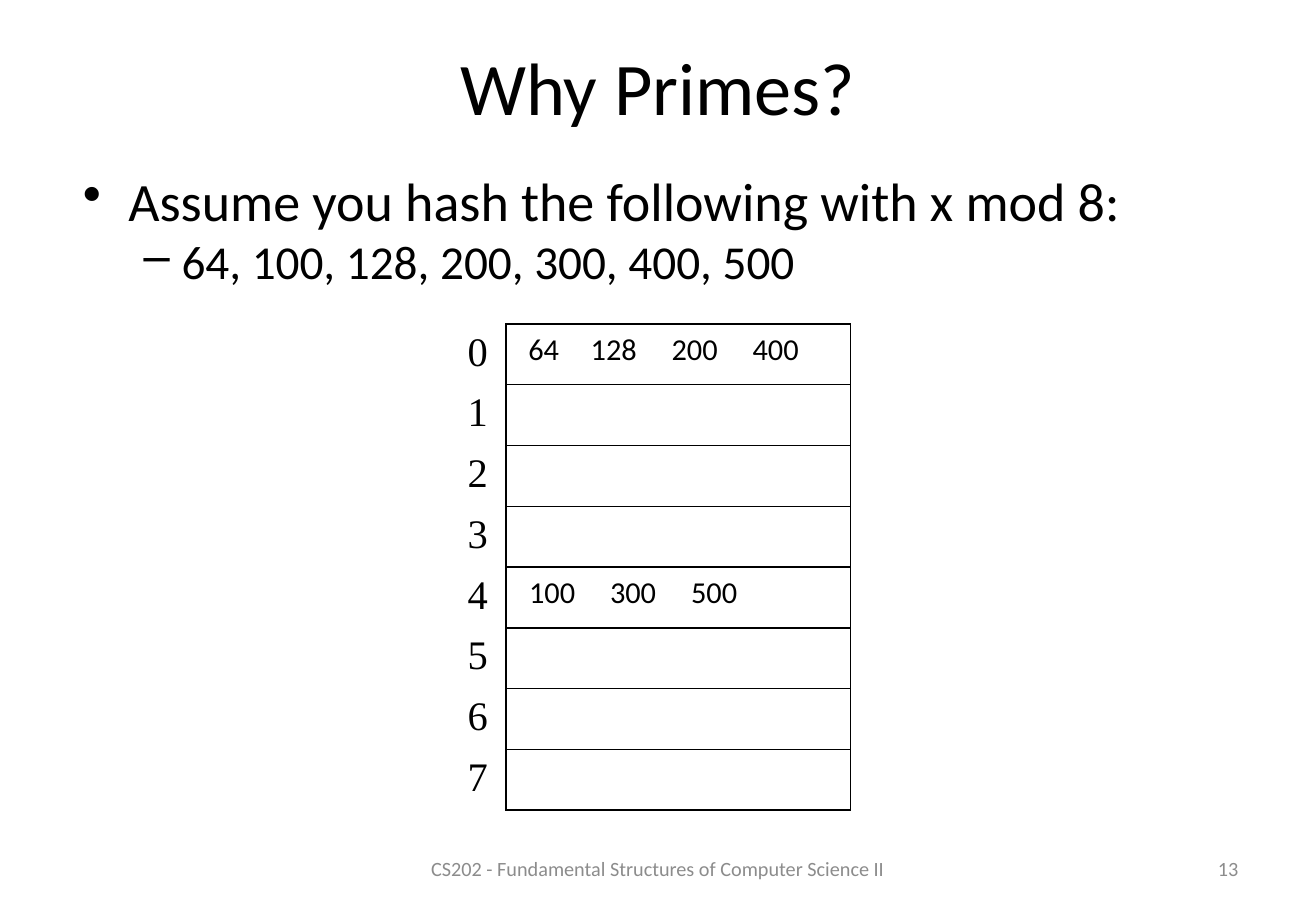
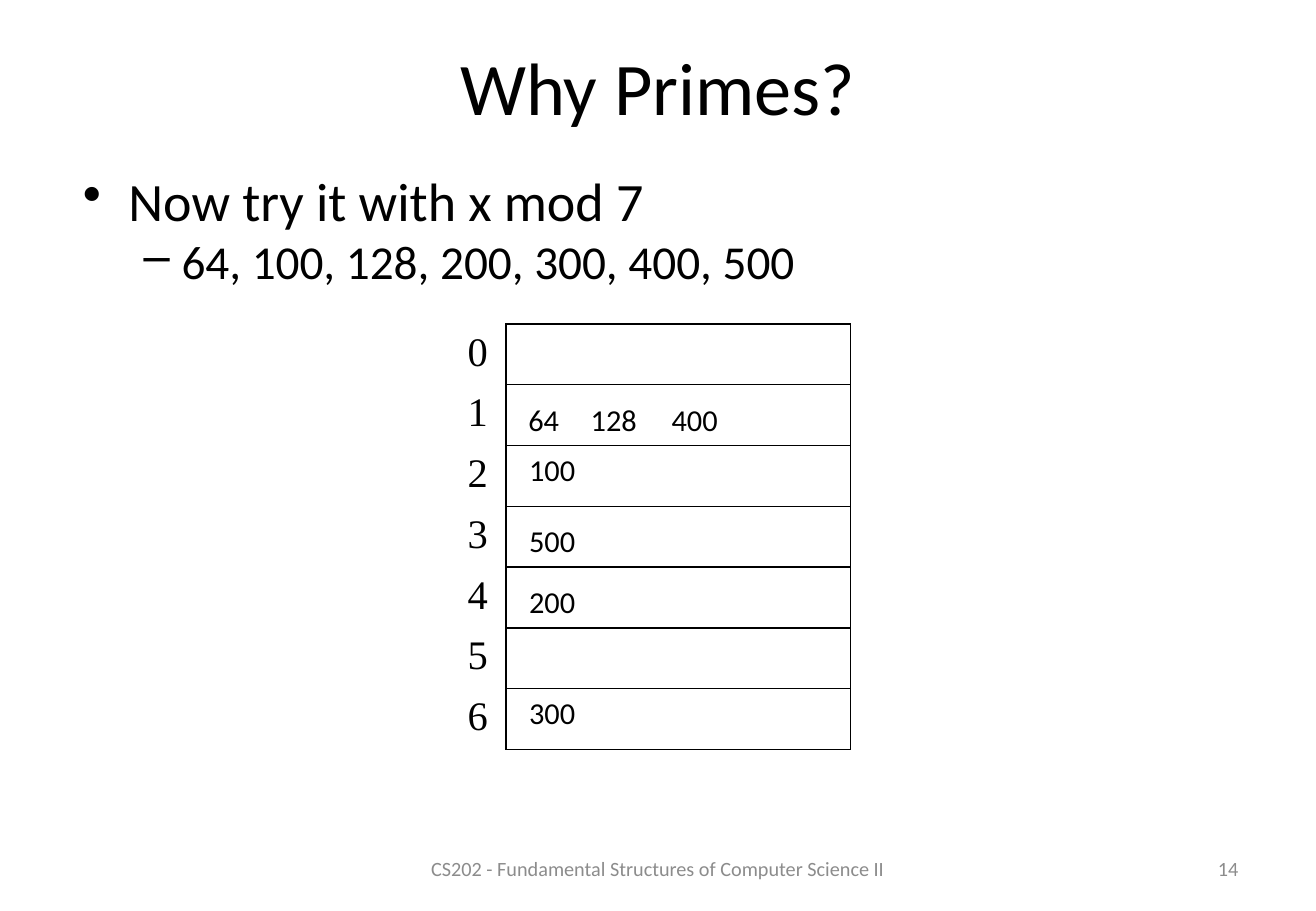
import pptx
import pptx.dml.color
import pptx.enum.text
import pptx.oxml.ns
import pptx.util
from lxml import etree

Pt = pptx.util.Pt
ALIGN = pptx.enum.text.PP_ALIGN
ANCHOR = pptx.enum.text.MSO_ANCHOR
AUTO_SIZE = pptx.enum.text.MSO_AUTO_SIZE
qn = pptx.oxml.ns.qn

BLACK = pptx.dml.color.RGBColor(0x00, 0x00, 0x00)
GRAY = pptx.dml.color.RGBColor(0x8C, 0x8C, 0x8C)
BODY_FONT = "Calibri"
INDEX_FONT = "Times New Roman"

COURSE = "CS202 - Fundamental Structures of Computer Science II"
HEADING = "Why Primes?"
KEYS = [64, 100, 128, 200, 300, 400, 500]
# Per bullet level: marker, text indent, hanging indent, font size
LEVELS = [("•", 27, 27, 32), ("–", 58.5, 22.5, 28)]

TABLE_LEFT, TABLE_TOP = 270, 192
INDEX_WIDTH, BUCKET_WIDTH, ROW_HEIGHT = 30, 204, 36
KEY_LEFT, KEY_HEIGHT = 306, 29


class Deck:
    def __init__(self):
        self.presentation = pptx.Presentation()
        self.presentation.slide_width = Pt(780)
        self.presentation.slide_height = Pt(540)
        self.slide = None

    def add_slide(self, number):
        """Start a slide with the shared title and footer."""
        layout = self.presentation.slide_layouts[6]
        self.slide = self.presentation.slides.add_slide(layout)
        self.text(HEADING, 39, 18, 702, 66, 44)
        self.text(COURSE, 246, 500.5, 288, 28.5, 12, GRAY)
        self.text(str(number), 559, 500.5, 182, 28.5, 12, GRAY, ALIGN.RIGHT)

    def run(self, paragraph, words, size, color=BLACK, font=BODY_FONT):
        run = paragraph.add_run()
        run.text = words
        run.font.size = Pt(size)
        run.font.name = font
        run.font.color.rgb = color

    def frame(self, left, top, width, height):
        box = self.slide.shapes.add_textbox(Pt(left), Pt(top), Pt(width), Pt(height))
        box.text_frame.word_wrap = True
        return box.text_frame

    def text(self, words, left, top, width, height, size, color=BLACK, align=ALIGN.CENTER):
        frame = self.frame(left, top, width, height)
        frame.vertical_anchor = ANCHOR.MIDDLE
        frame.paragraphs[0].alignment = align
        self.run(frame.paragraphs[0], words, size, color)
        return frame

    def bullets(self, lines):
        """Write one line at each bullet level."""
        frame = self.frame(42, 96, 702, 90)
        for level, (words, style) in enumerate(zip(lines, LEVELS)):
            marker, indent, hanging, size = style
            paragraph = frame.add_paragraph() if level else frame.paragraphs[0]
            paragraph.level = level
            properties = paragraph._p.get_or_add_pPr()
            properties.set("marL", str(Pt(indent)))
            properties.set("indent", str(-Pt(hanging)))
            etree.SubElement(properties, qn("a:buChar")).set("char", marker)
            self.run(paragraph, words, size)

    def cell_borders(self, cell, visible):
        properties = cell._tc.get_or_add_tcPr()
        for side in "LRTB":
            line = etree.SubElement(properties, qn(f"a:ln{side}"), w=str(Pt(1)))
            if side in visible:
                fill = etree.SubElement(line, qn("a:solidFill"))
                etree.SubElement(fill, qn("a:srgbClr")).set("val", str(BLACK))
            else:
                etree.SubElement(line, qn("a:noFill"))
        cell.fill.background()

    def hash_table(self, size):
        table = self.slide.shapes.add_table(
            size, 2, Pt(TABLE_LEFT), Pt(TABLE_TOP),
            Pt(INDEX_WIDTH + BUCKET_WIDTH), Pt(size * ROW_HEIGHT)).table
        table.first_row = table.horz_banding = False
        table.columns[0].width = Pt(INDEX_WIDTH)
        table.columns[1].width = Pt(BUCKET_WIDTH)
        for index in range(size):
            table.rows[index].height = Pt(ROW_HEIGHT)
            index_cell, bucket_cell = table.cell(index, 0), table.cell(index, 1)
            index_cell.margin_left = Pt(3.6)
            paragraph = index_cell.text_frame.paragraphs[0]
            paragraph.alignment = ALIGN.CENTER
            self.run(paragraph, str(index), 24, font=INDEX_FONT)
            self.cell_borders(index_cell, "R")
            self.cell_borders(bucket_cell, "LRTB")

    def bucket(self, index, keys, drop):
        """Set keys side by side in a bucket, drop points below its top."""
        left = KEY_LEFT
        for key in keys:
            width, step = (32.5, 36.5) if key < 100 else (42.5, 48)
            frame = self.text(str(key), left, TABLE_TOP + index * ROW_HEIGHT + drop,
                              width, KEY_HEIGHT, 18)
            frame.vertical_anchor = ANCHOR.TOP
            frame.word_wrap = False
            frame.auto_size = AUTO_SIZE.SHAPE_TO_FIT_TEXT
            left += step


def main():
    deck = Deck()
    key_list = ", ".join(map(str, KEYS))
    # Slide number, bullet, table size, and buckets as index: (keys, drop)
    examples = [
        (13, "Assume you hash the following with x mod 8:", 8,
         {0: ([64, 128, 200, 400], 0), 4: ([100, 300, 500], 0)}),
        (14, "Now try it with x mod 7", 7,
         {1: ([64, 128, 400], 6), 2: ([100], 0), 3: ([500], 6),
          4: ([200], 6), 6: ([300], 0)}),
    ]
    for number, task, size, buckets in examples:
        deck.add_slide(number)
        deck.bullets([task, key_list])
        deck.hash_table(size)
        for index, (keys, drop) in buckets.items():
            deck.bucket(index, keys, drop)
    deck.presentation.save("out.pptx")


if __name__ == "__main__":
    main()
